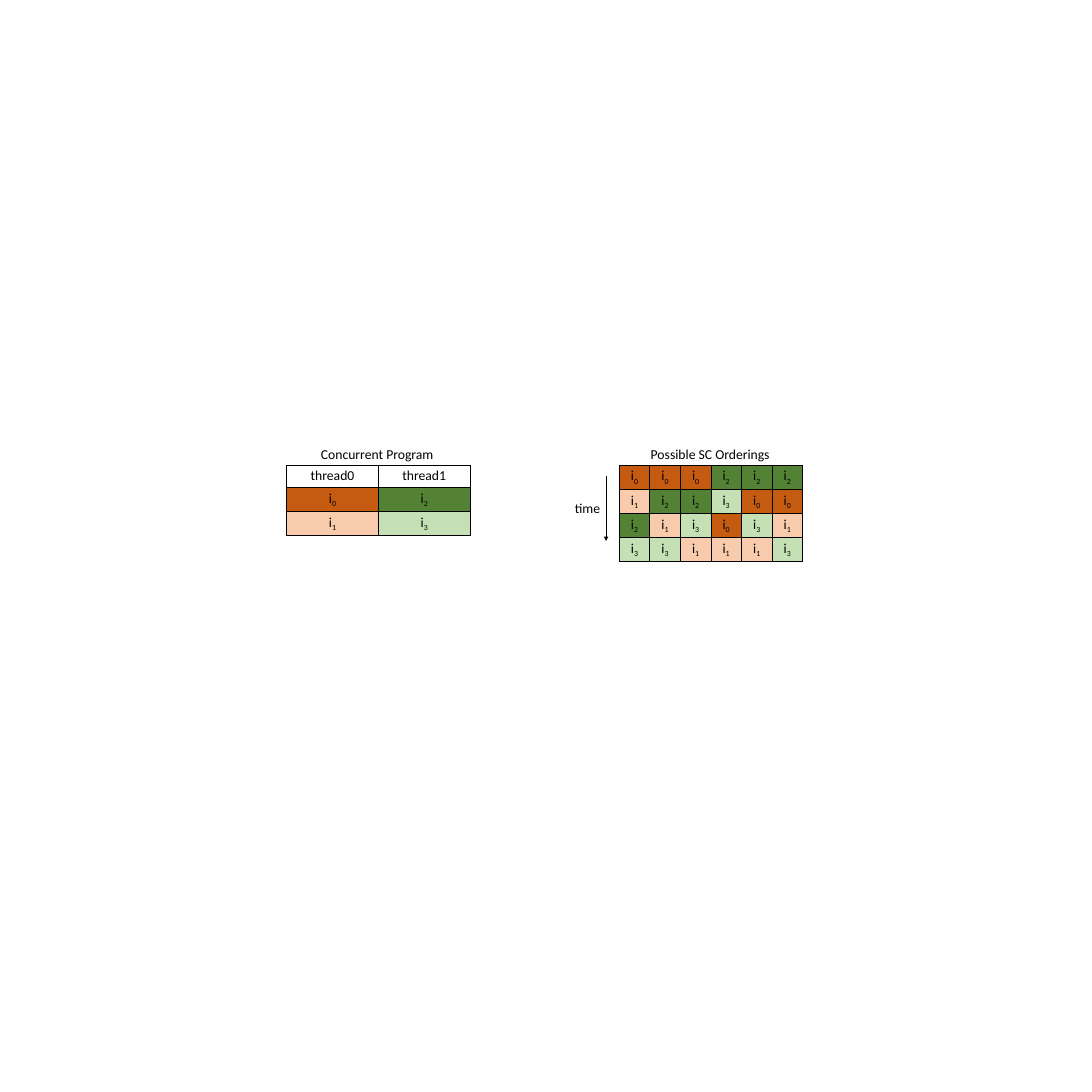
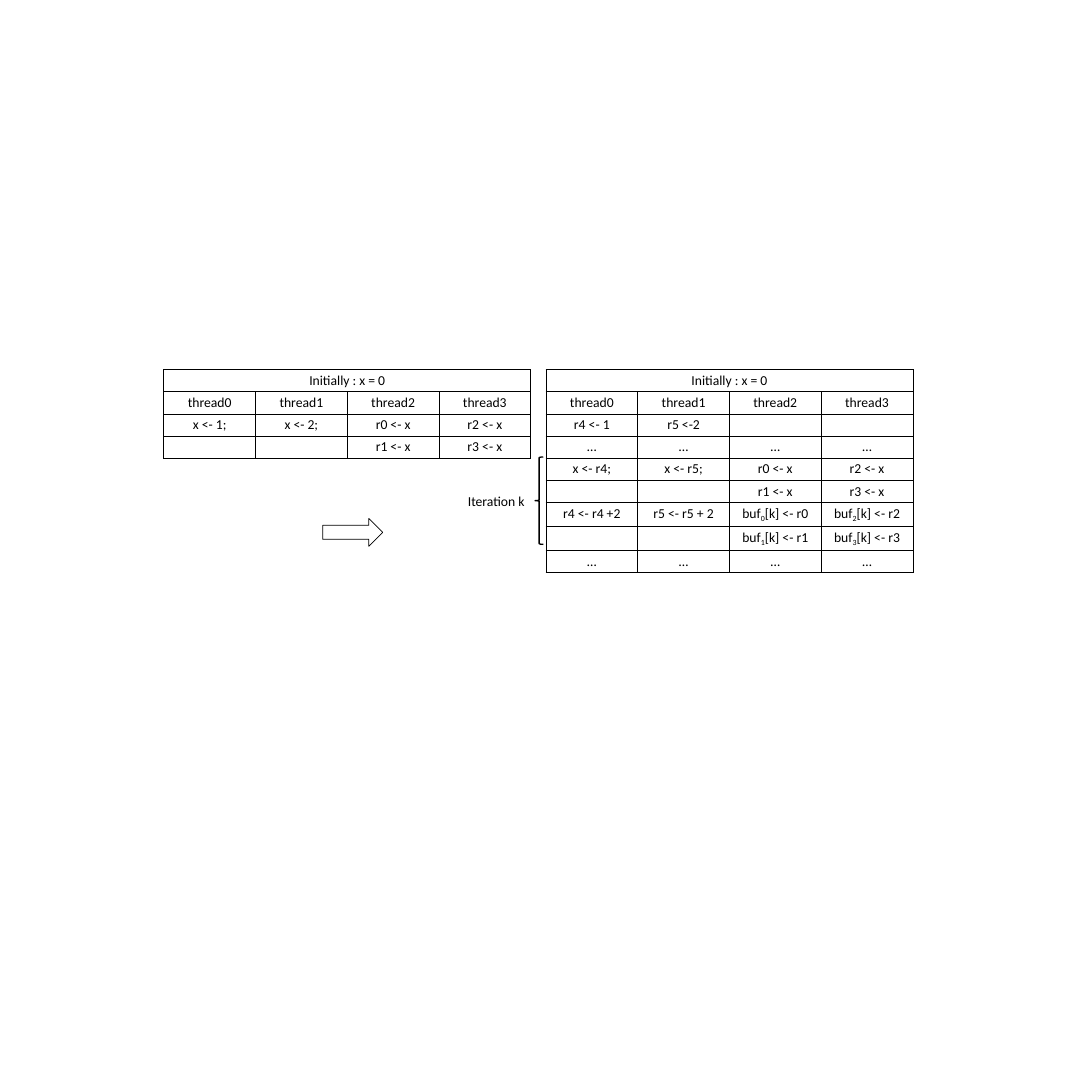
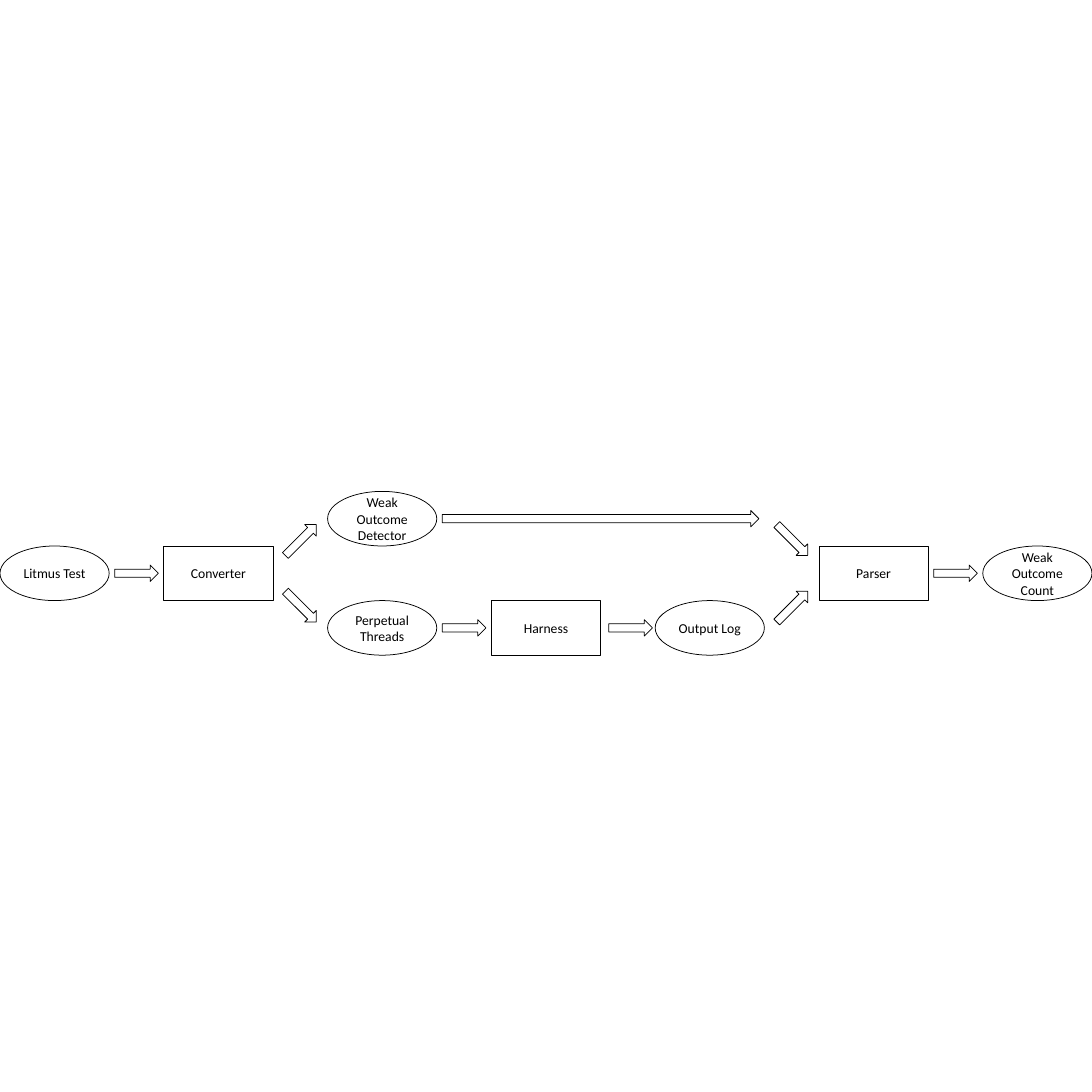
from lxml.etree import SubElement
from pptx import Presentation
from pptx.dml.color import RGBColor
from pptx.enum.shapes import MSO_CONNECTOR as Connector, MSO_SHAPE as Preset
from pptx.enum.text import MSO_ANCHOR as Anchor, PP_ALIGN as Align
from pptx.oxml.ns import qn
from pptx.util import Inches, Pt

COLORS = {
    "ink": "000000",
    "paper": "FFFFFF",
    "i_0": "C55A11",
    "i_1": "F8CBAD",
    "i_2": "548235",
    "i_3": "C5E0B4",
}
THREAD_WIDTH = 1.68
ROW_HEIGHT = 0.4


def color(name):
    return RGBColor.from_string(COLORS[name])


def write_text(frame, text, size=18, font="Calibri", ink="ink", align=Align.CENTER):
    paragraph = frame.paragraphs[0]
    paragraph.alignment = align

    def add_run(content, subscript=False):
        if not content:
            return
        run = paragraph.add_run()
        run.text = content
        run.font.size = Pt(size)
        run.font.name = font
        run.font.color.rgb = color(ink)
        if subscript:
            run._r.get_or_add_rPr().set("baseline", "-25000")

    first, *rest = text.split("_")
    add_run(first)
    for part in rest:
        add_run(part[0], subscript=True)
        add_run(part[1:])


class Deck:
    def __init__(self, width, height):
        self.presentation = Presentation()
        self.presentation.slide_width = Inches(width)
        self.presentation.slide_height = Inches(height)
        self.slide = None

    def new_slide(self):
        layout = self.presentation.slide_layouts[6]
        self.slide = self.presentation.slides.add_slide(layout)

    def label(self, text, left, top, width):
        box = self.slide.shapes.add_textbox(
            Inches(left), Inches(top), Inches(width), Inches(0.6))
        box.text_frame.word_wrap = True
        write_text(box.text_frame, text, align=Align.LEFT)

    def shape(self, preset, left, top, width, height, text="", fill="paper",
              line_width=1, angle=0):
        shape = self.slide.shapes.add_shape(
            preset, Inches(left), Inches(top), Inches(width), Inches(height))
        shape.shadow.inherit = False
        shape.rotation = angle
        shape.line.color.rgb = color("ink")
        shape.line.width = Pt(line_width)
        if fill:
            shape.fill.solid()
            shape.fill.fore_color.rgb = color(fill)
        else:
            shape.fill.background()
        if text:
            shape.text_frame.word_wrap = True
            shape.text_frame.vertical_anchor = Anchor.MIDDLE
            write_text(shape.text_frame, text)

    def block_arrow(self, center_x, center_y, length=0.8, thickness=0.3, **style):
        self.shape(Preset.RIGHT_ARROW, center_x - length / 2,
                   center_y - thickness / 2, length, thickness, **style)

    def thin_arrow(self, start_x, start_y, end_x, end_y):
        arrow = self.slide.shapes.add_connector(
            Connector.STRAIGHT, Inches(start_x), Inches(start_y),
            Inches(end_x), Inches(end_y))
        arrow.line.color.rgb = color("ink")
        arrow.line.width = Pt(0.5)
        SubElement(arrow.line._get_or_add_ln(), qn("a:tailEnd"), type="triangle")
        SubElement(arrow._element.spPr, qn("a:effectLst"))

    def table(self, rows, left, top, column_width):
        column_count = max(len(row) for row in rows)
        frame = self.slide.shapes.add_table(
            len(rows), column_count, Inches(left), Inches(top),
            Inches(column_width * column_count), Inches(ROW_HEIGHT * len(rows)))
        table = frame.table
        table.first_row = False
        table.horz_banding = False
        for column in table.columns:
            column.width = Inches(column_width)
        for cell in table.iter_cells():
            self.border(cell)
            cell.fill.background()
        for row_index, row in enumerate(rows):
            if len(row) == 1:
                table.cell(row_index, 0).merge(
                    table.cell(row_index, column_count - 1))
            for column_index, text in enumerate(row):
                cell = table.cell(row_index, column_index)
                write_text(cell.text_frame, text)
                if text in COLORS:
                    cell.fill.solid()
                    cell.fill.fore_color.rgb = color(text)

    def border(self, cell):
        properties = cell._tc.get_or_add_tcPr()
        for side in ("lnL", "lnR", "lnT", "lnB"):
            line = SubElement(properties, qn(f"a:{side}"), w=str(Pt(1)))
            fill = SubElement(line, qn("a:solidFill"))
            SubElement(fill, qn("a:srgbClr"), val=COLORS["ink"])


def build_orderings(deck):
    deck.new_slide()
    program = [["thread0", "thread1"], ["i_0", "i_2"], ["i_1", "i_3"]]
    orderings = [[f"i_{digit}" for digit in row]
                 for row in ("000222", "122300", "213031", "331113")]
    deck.table(program, 5.25, 8.52, THREAD_WIDTH)
    deck.label("Concurrent Program", 5.78, 8.12, 3.6)
    deck.label("Possible SC Orderings", 11.82, 8.12, 3.8)
    deck.table(orderings, 11.34, 8.52, THREAD_WIDTH / 3)
    deck.thin_arrow(11.1, 8.71, 11.1, 9.91)
    deck.label("time", 10.43, 9.11, 0.97)


def build_conversion(deck):
    deck.new_slide()
    heading = [["Initially : x = 0"], [f"thread{index}" for index in range(4)]]
    ellipsis_row = ["…"] * 4
    litmus_test = heading + [
        ["x\u00a0<-\u00a01;", "x\u00a0<-\u00a02;", "r0 <- x", "r2 <- x"],
        ["", "", "r1 <- x", "r3 <- x"],
    ]
    perpetual_test = heading + [
        ["r4 <- 1", "r5 <-2", "", ""],
        ellipsis_row,
        ["x\u00a0<-\u00a0r4;", "x\u00a0<-\u00a0r5;", "r0 <- x", "r2 <- x"],
        ["", "", "r1 <- x", "r3 <- x"],
        ["r4 <- r4 +2", "r5 <- r5 + 2", "buf_0[k] <- r0", "buf_2[k] <- r2"],
        ["", "", "buf_1[k] <- r1", "buf_3[k] <- r3"],
        ellipsis_row,
    ]
    deck.table(litmus_test, 3, 6.77, THREAD_WIDTH)
    deck.table(perpetual_test, 10, 6.77, THREAD_WIDTH)
    deck.shape(Preset.LEFT_BRACE, 9.8, 8.37, 0.15, 1.6, fill=None, line_width=1.75)
    deck.label("Iteration k", 8.47, 8.97, 1.92)
    deck.block_arrow(6.46, 9.75, length=1.1, thickness=0.51, fill=None)


def build_workflow(deck):
    deck.new_slide()
    stages = [
        (Preset.RECTANGLE, 3, 10, "Converter"),
        (Preset.RECTANGLE, 9, 11, "Harness"),
        (Preset.RECTANGLE, 15, 10, "Parser"),
        (Preset.OVAL, 0, 10, "Litmus Test"),
        (Preset.OVAL, 6, 11, "Perpetual Threads"),
        (Preset.OVAL, 6, 9, "Weak Outcome Detector"),
        (Preset.OVAL, 12, 11, "Output Log"),
        (Preset.OVAL, 18, 10, "Weak Outcome Count"),
    ]
    for preset, left, top, text in stages:
        deck.shape(preset, left, top, 2, 1, text=text)
    for center_x, center_y in ((2.5, 10.5), (8.5, 11.5), (11.55, 11.5), (17.5, 10.5)):
        deck.block_arrow(center_x, center_y)
    deck.block_arrow(11, 9.5, length=5.8)
    for center_x, upper_angle in ((5.51, 315), (14.51, 45)):
        deck.block_arrow(center_x, 9.89, angle=upper_angle)
        deck.block_arrow(center_x, 11.11, angle=360 - upper_angle)


deck = Deck(20, 20)
build_orderings(deck)
build_conversion(deck)
build_workflow(deck)
deck.presentation.save("out.pptx")
